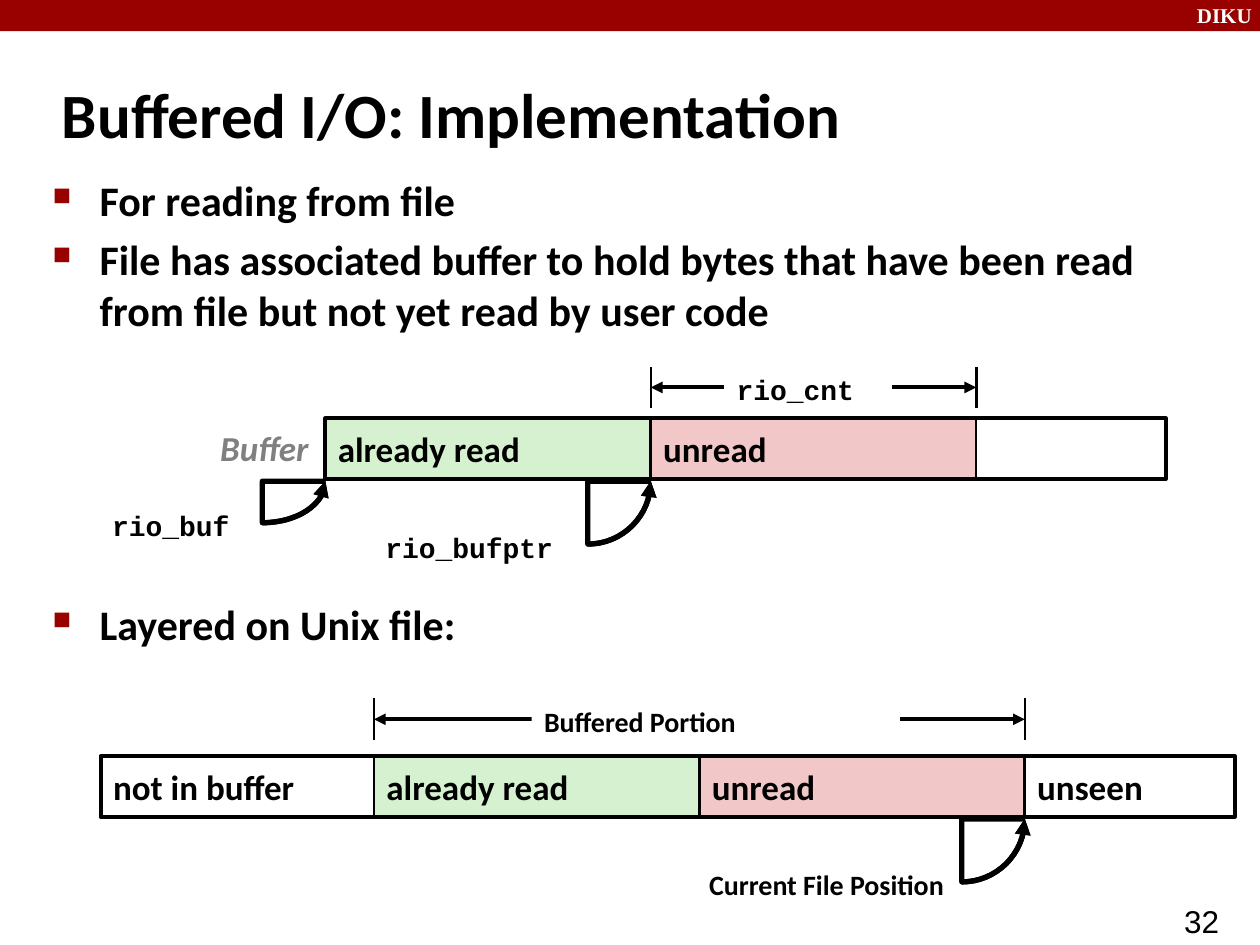
from dataclasses import dataclass
from math import cos, pi, sin

from lxml import etree
from pptx import Presentation
from pptx.dml.color import RGBColor
from pptx.enum.shapes import MSO_CONNECTOR, MSO_SHAPE
from pptx.enum.text import MSO_ANCHOR, PP_ALIGN
from pptx.oxml.ns import qn
from pptx.util import Cm, Pt

RECT = MSO_SHAPE.RECTANGLE
STRAIGHT = MSO_CONNECTOR.STRAIGHT
LEFT, RIGHT = PP_ALIGN.LEFT, PP_ALIGN.RIGHT
TOP, MIDDLE = MSO_ANCHOR.TOP, MSO_ANCHOR.MIDDLE


@dataclass(frozen=True)
class Theme:
    red: str = "990000"
    white: str = "FFFFFF"
    black: str = "000000"
    grey: str = "808080"
    green: str = "D5F1CF"
    pink: str = "F1C7C7"
    sans: str = "Calibri"
    mono: str = "Courier New"
    serif: str = "Times New Roman"
    number: str = "Arial"
    title: int = 36
    body: int = 24
    cell: int = 20
    page: int = 18
    label: int = 16
    header: int = 12
    thin: float = 1.5
    medium: float = 2.25
    thick: float = 3


T = Theme()
CELL_FONT = dict(name=T.sans, size=T.cell, bold=True)
LABEL_FONT = dict(name=T.sans, size=T.label, bold=True)
CODE_FONT = dict(name=T.mono, size=T.label, bold=True)


def format_font(font, color=T.black, size=T.cell, **values):
    font.color.rgb = RGBColor.from_string(color)
    font.size = Pt(size)
    for name, value in values.items():
        setattr(font, name, value)


def write(sp, text, font, align=LEFT, anchor=TOP, wrap=True):
    tf = sp.text_frame
    tf.word_wrap = wrap
    tf.vertical_anchor = anchor
    p = tf.paragraphs[0]
    p.alignment = align
    r = p.add_run()
    r.text = text
    format_font(r.font, **font)


def add_text(slide, box, text, font, **layout):
    sp = slide.shapes.add_textbox(*map(Cm, box))
    write(sp, text, font, **layout)


def set_line(line, width):
    line.color.rgb = RGBColor.from_string(T.black)
    line.width = Pt(width)


def add_rect(slide, box, fill=None, width=None):
    sp = slide.shapes.add_shape(RECT, *map(Cm, box))
    sp.shadow.inherit = False
    if fill:
        sp.fill.solid()
        sp.fill.fore_color.rgb = RGBColor.from_string(fill)
    else:
        sp.fill.background()
    if width:
        set_line(sp.line, width)
    else:
        sp.line.fill.background()
    return sp


def add_arrowheads(line, *ends):
    ln = line._get_or_add_ln()
    for end in ends:
        etree.SubElement(ln, qn(f"a:{end}"), type="triangle")


def add_line(slide, start, end, width):
    cxn = slide.shapes.add_connector(STRAIGHT, *map(Cm, start + end))
    set_line(cxn.line, width)
    etree.SubElement(cxn._element.spPr, qn("a:effectLst"))
    return cxn


def add_header(slide, box):
    x, y, w, h = box
    add_rect(slide, box, T.red)
    add_text(slide, (x + w - 1.52, y - 0.08, 1.7, 0.76), "DIKU",
             dict(name=T.serif, size=T.header, bold=True, color=T.white))


def add_bullets(slide, box, items):
    """Items are (text, space before in points)."""
    tf = slide.shapes.add_textbox(*map(Cm, box)).text_frame
    tf.word_wrap = True
    for i, (text, space) in enumerate(items):
        p = tf.paragraphs[0] if i == 0 else tf.add_paragraph()
        p.space_before = Pt(space)
        pPr = p._p.get_or_add_pPr()
        pPr.set("marL", str(Cm(0.95)))
        pPr.set("indent", str(Cm(-0.95)))
        color = etree.SubElement(pPr, qn("a:buClr"))
        etree.SubElement(color, qn("a:srgbClr"), val=T.red)
        etree.SubElement(pPr, qn("a:buSzPct"), val="60000")
        etree.SubElement(pPr, qn("a:buChar"), char="■")
        r = p.add_run()
        r.text = text
        format_font(r.font, name=T.sans, size=T.body, bold=True)


def add_strip(slide, box, cells):
    """Cells are (text, offset, width, fill), drawn over an outer frame."""
    x, y, w, h = box
    for text, offset, width, fill in cells:
        sp = add_rect(slide, (x + offset, y, width, h), fill, T.thin)
        write(sp, text, CELL_FONT, anchor=MIDDLE, wrap=False)
    add_rect(slide, box, width=T.medium)


def add_span(slide, box, text, font, label_offset, label_width):
    """Double arrow between two ticks, with a label on top of it."""
    x, y, w, h = box
    for tick in (x, x + w):
        add_line(slide, (tick, y + h), (tick, y), T.thin)
    arrow = add_line(slide, (x, y + h / 2), (x + w, y + h / 2), T.medium)
    add_arrowheads(arrow.line, "headEnd", "tailEnd")
    sp = add_rect(slide, (x + label_offset, y, label_width, 0.91), T.white)
    write(sp, text, font)


def add_pointer(slide, box, steps=16):
    """Quarter ellipse with its tip at the top right, closed at the corner."""
    x, y, w, h = box
    angles = [pi / 2 * i / steps for i in range(steps + 1)]
    arc = [(Cm(x + w * cos(a)), Cm(y + h * sin(a))) for a in angles]
    builder = slide.shapes.build_freeform(*arc[0], scale=1.0)
    builder.add_line_segments(arc[1:], close=False)
    builder.move_to(*arc[0])
    builder.add_line_segments(arc[1:] + [(Cm(x), Cm(y))], close=True)
    sp = builder.convert_to_shape()
    sp.shadow.inherit = False
    sp.fill.background()
    set_line(sp.line, T.thick)
    add_arrowheads(sp.line, "headEnd")


def add_buffer(slide, box):
    x, y, w, h = box
    part = 6.56
    add_strip(slide, box, [("already read", 0, part, T.green),
                           ("unread", part, part, T.pink)])
    add_text(slide, (x - 2.37, y + 0.05, 2.29, 1.09), "Buffer",
             dict(CELL_FONT, color=T.grey, italic=True), wrap=False)
    add_pointer(slide, (x - 1.27, y + 1.27, 1.27, 0.84))
    add_pointer(slide, (x + part - 1.27, y + 1.27, 1.27, 1.27))
    add_text(slide, (x - 4.55, y + 1.7, 2.9, 0.91), "rio_buf", CODE_FONT)
    add_text(slide, (x + 0.96, y + 2.14, 4.45, 0.91), "rio_bufptr", CODE_FONT)
    add_span(slide, (x + part, y - 1.04, part, 0.84), "rio_cnt", CODE_FONT,
             1.48, 3.38)


def add_file(slide, box):
    x, y, w, h = box
    before, part = 5.51, 6.56
    after = before + 2 * part
    add_strip(slide, box, [("not in buffer", 0, before, T.white),
                           ("already read", before, part, T.green),
                           ("unread", before + part, part, T.pink),
                           ("unseen", after, w - after, T.white)])
    add_pointer(slide, (x + after - 1.27, y + 1.27, 1.27, 1.27))
    add_text(slide, (x + 10.06, y + 2.13, 7.19, 0.91), "Current File Position",
             LABEL_FONT, align=RIGHT)
    add_span(slide, (x + before, y - 1.16, 2 * part, 0.84), "Buffered Portion",
             LABEL_FONT, 3.18, 7.42)


def main():
    prs = Presentation()
    prs.slide_width, prs.slide_height = Cm(25.4), Cm(19.05)
    slide = prs.slides.add_slide(prs.slide_layouts[6])

    # Header bar, page number and title
    add_header(slide, (0, 0, 25.4, 0.63))
    add_text(slide, (23.62, 18.06, 1.9, 0.74), "32",
             dict(name=T.number, size=T.page), wrap=False)
    add_text(slide, (1, 1.22, 21.08, 2.11), "Buffered I/O: Implementation",
             dict(name=T.sans, size=T.title, bold=True), anchor=MIDDLE)

    # Bullets, with room for the buffer diagram
    add_bullets(slide, (0.81, 3.4, 23.06, 11), [
        ("For reading from file", 0),
        ("File has associated buffer to hold bytes that have been read "
         "from file but not yet read by user code", 4.8),
        ("Layered on Unix file:", 151),
    ])

    # Diagrams
    add_buffer(slide, (6.56, 8.43, 16.94, 1.23))
    add_file(slide, (2.03, 15.24, 22.86, 1.23))
    prs.save("out.pptx")


if __name__ == "__main__":
    main()
